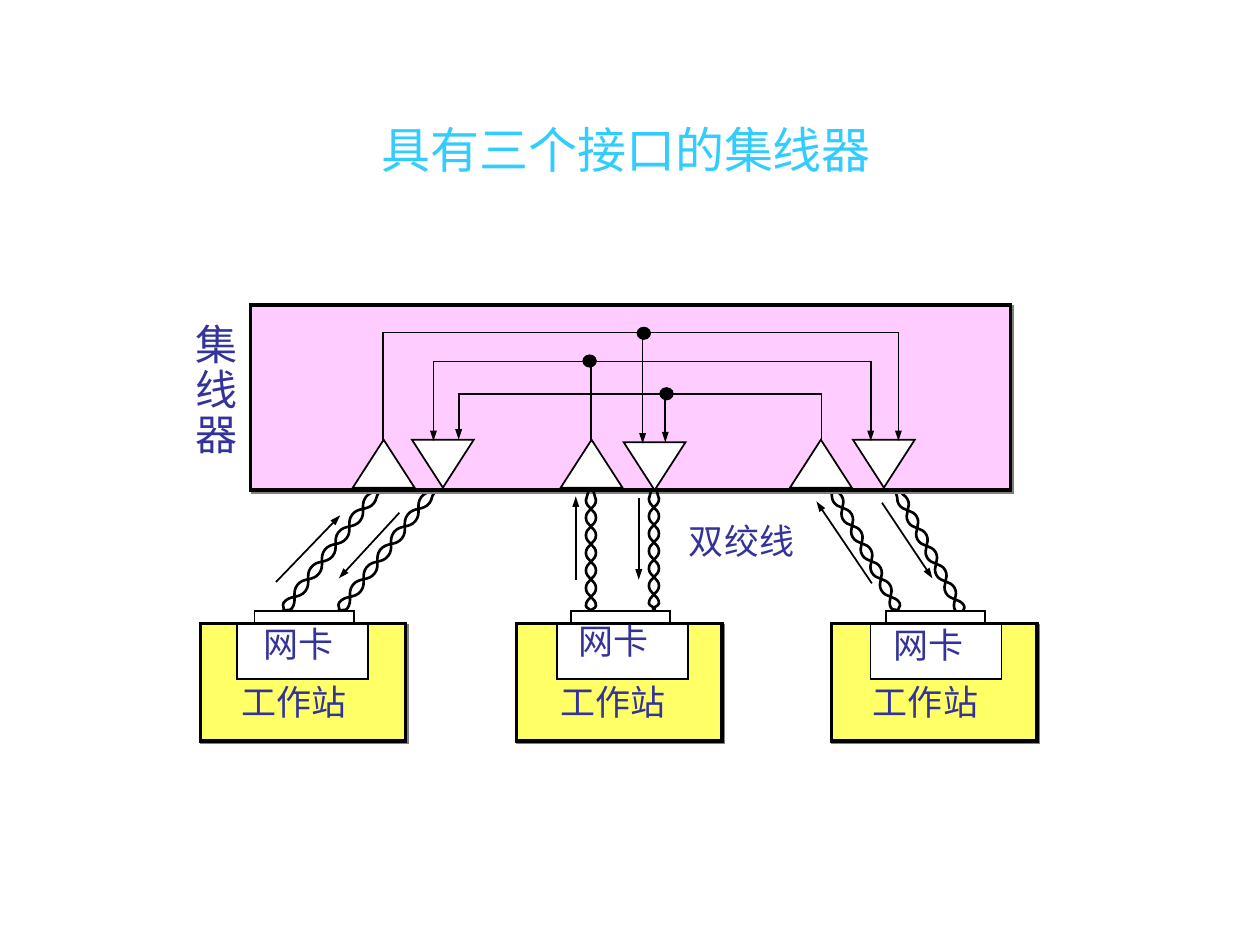
import math
import pptx
import pptx.util
import pptx.dml.color
import pptx.enum.shapes
import pptx.enum.text
import pptx.oxml.ns
import lxml.etree

Inches = pptx.util.Inches
Pt = pptx.util.Pt
rgb = pptx.dml.color.RGBColor.from_string
qn = pptx.oxml.ns.qn
MSO = pptx.enum.shapes.MSO_SHAPE
BLACK, WHITE, NAVY = "000000", "FFFFFF", "333399"


def paint(sp, width, fill=None, arrow=False, shadow=False):
    """Black outline, optional fill, arrowhead at the end and hard shadow."""
    if fill:
        sp.fill.solid()
        sp.fill.fore_color.rgb = rgb(fill)
    elif hasattr(sp, "fill"):
        sp.fill.background()
    sp.line.color.rgb = rgb(BLACK)
    sp.line.width = Pt(width)
    ln = sp.line._get_or_add_ln()
    lxml.etree.SubElement(ln, qn("a:miter"), lim="800000")
    if arrow:
        lxml.etree.SubElement(ln, qn("a:tailEnd"), type="triangle", w="sm", len="med")
    fx = lxml.etree.SubElement(sp._element.spPr, qn("a:effectLst"))
    if shadow:
        sh = lxml.etree.SubElement(fx, qn("a:outerShdw"), dist="17780", dir="2700000",
                                   algn="ctr", rotWithShape="0")
        lxml.etree.SubElement(sh, qn("a:srgbClr"), val="808080")


def add_text(lines, x, y, w, h, size, font="Times New Roman", color=NAVY, spacing=1.0):
    tf = s.shapes.add_textbox(Inches(x), Inches(y), Inches(w), Inches(h)).text_frame
    tf.word_wrap = False
    tf.auto_size = pptx.enum.text.MSO_AUTO_SIZE.SHAPE_TO_FIT_TEXT
    for i, line in enumerate(lines):
        p = tf.paragraphs[0] if i == 0 else tf.add_paragraph()
        p.line_spacing = spacing
        r = p.add_run()
        r.text = line
        r.font.size = Pt(size)
        r.font.name = font
        r.font.color.rgb = rgb(color)
    return tf


prs = pptx.Presentation()
prs.slide_width, prs.slide_height = Inches(10), Inches(7.5)
s = prs.slides.add_slide(prs.slide_layouts[6])

# Title
tf = add_text(["具有三个接口的集线器"], 0.47, 0.83, 9, 0.7, 28, "Arial", "33CCFF")
tf.auto_size = pptx.enum.text.MSO_AUTO_SIZE.NONE
tf.word_wrap = True
tf.vertical_anchor = pptx.enum.text.MSO_ANCHOR.MIDDLE
tf.paragraphs[0].alignment = pptx.enum.text.PP_ALIGN.CENTER

# Twisted pairs: two mirrored strands around an axis from card to hub.
# Knots are (share of the axis, sideways offset): a hook, seven crests, the end.
crests = [(0.045 + 0.147 * i, 0.04 * (-1) ** i) for i in range(7)]
knots = [(0, 0), (-0.01, -0.01)] + crests + [(1, 0.02)]
pairs = [
    (2.25, 4.85, 2.99, 3.90), (2.69, 4.85, 3.43, 3.90),
    (7.13, 4.85, 6.61, 3.89), (7.64, 4.87, 7.13, 3.91),
    (5.19, 4.83, 5.19, 3.89), (4.69, 4.85, 4.69, 3.90),
]
strands = []
for x0, y0, x1, y1 in pairs:
    dx, dy = x1 - x0, y1 - y0
    length = math.hypot(dx, dy)
    for side in (1, -1):
        points = [(Inches(x0 + dx * t - dy / length * side * d),
                   Inches(y0 + dy * t + dx / length * side * d)) for t, d in knots]
        fb = s.shapes.build_freeform(*points[0])
        fb.add_line_segments(points[1:], close=False)
        sp = fb.convert_to_shape()
        # Bend each segment: its control points lie along the axis
        for i, seg in enumerate(list(sp._element.iter(qn("a:lnTo")))):
            reach = 0.45 * (knots[i + 1][0] - knots[i][0])
            (ax, ay), (bx, by) = points[i], points[i + 1]
            curve = lxml.etree.Element(qn("a:cubicBezTo"))
            for px, py in [(ax + Inches(dx * reach), ay + Inches(dy * reach)),
                           (bx - Inches(dx * reach), by - Inches(dy * reach)), (bx, by)]:
                lxml.etree.SubElement(curve, qn("a:pt"), x=str(int(px - sp.left)),
                                      y=str(int(py - sp.top)))
            seg.getparent().replace(seg, curve)
        paint(sp, 1.5)
        strands.append(sp)

# Hub, placed over the slanted pairs and under the upright ones
hub = s.shapes.add_shape(MSO.RECTANGLE, Inches(1.99), Inches(2.42), Inches(6.03), Inches(1.47))
paint(hub, 2, "FFCCFF", shadow=True)
for sp in strands[8:]:
    hub._element.addnext(sp._element)

# Receivers point up, transmitters point down
for x, y, turn in [(2.8, 3.49, 0), (6.27, 3.49, 0), (4.45, 3.49, 0),
                   (6.77, 3.49, 180), (3.27, 3.49, 180), (4.95, 3.51, 180)]:
    sp = s.shapes.add_shape(MSO.ISOSCELES_TRIANGLE, Inches(x), Inches(y), Inches(0.49), Inches(0.38))
    sp.rotation = turn
    paint(sp, 1, WHITE)

# Wiring inside the hub
for wire in [
    [(6.52, 3.49), (6.52, 3.13), (3.64, 3.13), (3.64, 3.49)],
    [(4.69, 3.51), (4.69, 2.87), (6.91, 2.87), (6.91, 3.5)],
    [(4.69, 2.87), (3.44, 2.87), (3.44, 3.5)],
    [(3.04, 3.51), (3.04, 2.64), (7.13, 2.64), (7.13, 3.5)],
]:
    points = [(Inches(x), Inches(y)) for x, y in wire]
    fb = s.shapes.build_freeform(*points[0])
    fb.add_line_segments(points[1:], close=False)
    paint(fb.convert_to_shape(), 1, arrow=True)

# Straight arrows: two hub branches, then the signal directions
for x0, y0, x1, y1 in [
    (5.28, 3.14, 5.28, 3.51), (5.1, 2.66, 5.1, 3.52),
    (4.57, 4.6, 4.57, 3.94), (5.07, 3.95, 5.07, 4.6),
    (2.19, 4.62, 2.7, 4.09), (3.17, 4.07, 2.69, 4.59),
    (6.92, 4.63, 6.48, 3.98), (7, 3.99, 7.4, 4.59),
]:
    cn = s.shapes.add_connector(pptx.enum.shapes.MSO_CONNECTOR.STRAIGHT,
                                Inches(x0), Inches(y0), Inches(x1), Inches(y1))
    paint(cn, 1, arrow=True)

# Junction dots
for x, y in [(4.63, 2.82), (5.06, 2.6), (5.24, 3.08)]:
    sp = s.shapes.add_shape(MSO.OVAL, Inches(x), Inches(y), Inches(0.1), Inches(0.09))
    paint(sp, 1, BLACK)

# Workstations with network card and port
for x, card_x, label_x, label_y, name_x in [(1.59, 1.88, 1.99, 4.89, 1.82),
                                            (4.1, 4.42, 4.49, 4.87, 4.35),
                                            (6.6, 6.91, 6.99, 4.9, 6.83)]:
    for left, top, w, h, width, fill in [(x, 4.95, 1.63, 0.93, 2, "FFFF66"),
                                         (card_x, 4.95, 1.04, 0.44, 1, WHITE),
                                         (x + 0.43, 4.85, 0.79, 0.09, 1, WHITE)]:
        sp = s.shapes.add_shape(MSO.RECTANGLE, Inches(left), Inches(top), Inches(w), Inches(h))
        paint(sp, width, fill, shadow=width == 2)
    add_text(["网卡"], label_x, label_y, 0.76, 0.43, 20)
    add_text(["工作站"], name_x, 5.35, 1.04, 0.43, 20)

# Labels for the hub and the cable
add_text(["集", "线", "器"], 1.45, 2.52, 0.53, 1.18, 24, spacing=0.9)
add_text(["双绞线"], 5.37, 4.07, 1.04, 0.43, 20)

prs.save("out.pptx")
